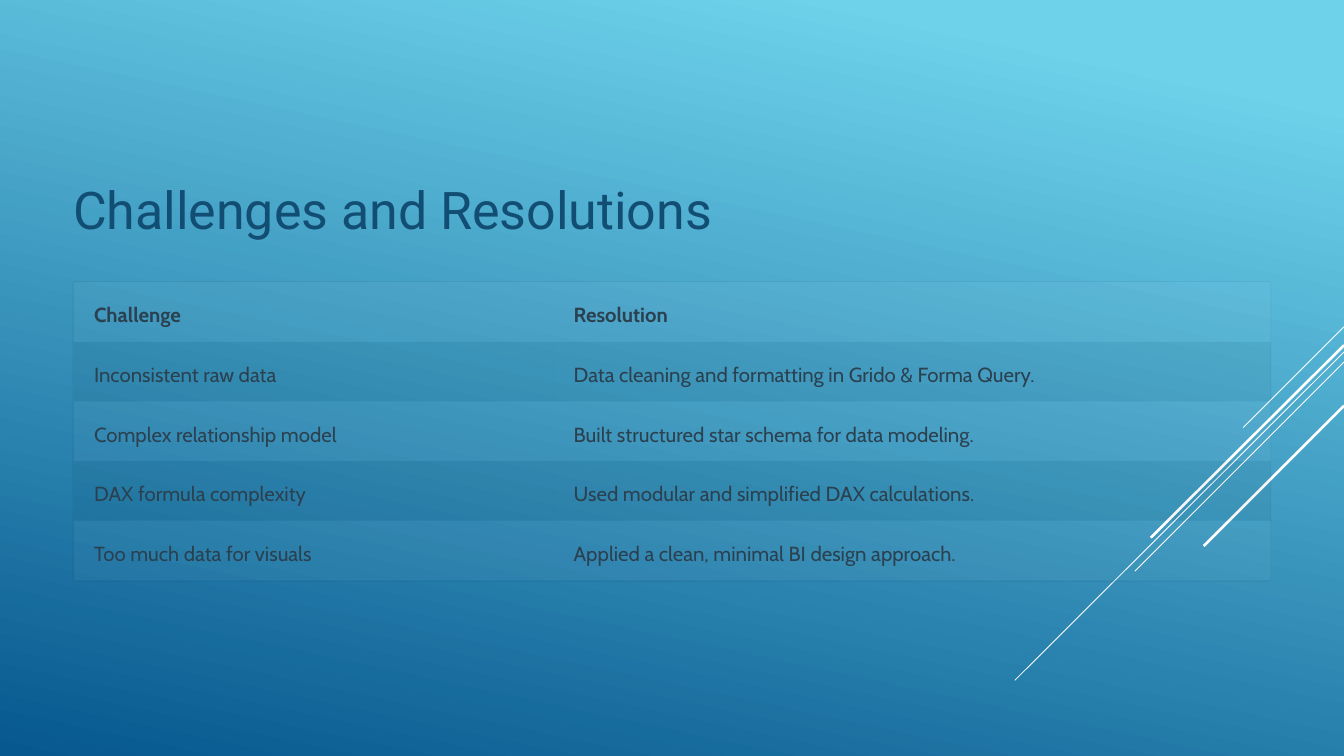
from lxml.etree import SubElement
from pptx import Presentation
from pptx.dml.color import RGBColor
from pptx.enum.shapes import MSO_CONNECTOR, MSO_SHAPE
from pptx.enum.text import MSO_ANCHOR, MSO_AUTO_SIZE, PP_ALIGN
from pptx.oxml.ns import qn
from pptx.util import Inches, Pt

NO_GRID_STYLE = "{2D5ABB26-0587-4C30-8999-92F81FD0307C}"

ROWS = [
    ("Challenge", "Resolution"),
    ("Inconsistent raw data", "Data cleaning and formatting in Grido & Forma Query."),
    ("Complex relationship model", "Built structured star schema for data modeling."),
    ("DAX formula complexity", "Used modular and simplified DAX calculations."),
    ("Too much data for visuals", "Applied a clean, minimal BI design approach."),
]

# Start height, end point and width of each diagonal; all start at the right edge
DIAGONALS = [
    (3.89, 14.8, 5.09, 0.75),
    (4.19, 12.08, 8.1, 0.75),
    (4.31, 13.51, 6.8, 0.75),
    (4.11, 13.7, 6.4, 2.25),
    (4.83, 14.33, 6.5, 2.25),
]


def color(value):
    return RGBColor.from_string(value)


def set_opacity(fill_element, percent):
    rgb = fill_element.find(f".//{qn('a:srgbClr')}")
    SubElement(rgb, qn("a:alpha")).set("val", str(percent * 1000))


class SlideBuilder:
    title_color = "124E73"
    text_color = "2B4150"
    title_font = "Roboto"
    text_font = "Cabin"

    def __init__(self, slide):
        self.slide = slide

    def background(self, stops, angle):
        fill = self.slide.background.fill
        fill.gradient()
        fill.gradient_angle = angle
        for stop, (position, value) in zip(fill.gradient_stops, stops):
            stop.position = position
            stop.color.rgb = color(value)

    def add_text(self, para, text, font, size, value, spacing, bold=False):
        para.alignment = PP_ALIGN.LEFT
        para.line_spacing = Pt(spacing)
        span = para.add_run()
        span.text = text
        span.font.name = font
        span.font.size = Pt(size)
        span.font.bold = bold
        span.font.color.rgb = color(value)

    def title(self, text, left, top, width, height):
        box = self.slide.shapes.title
        box.left, box.top = Inches(left), Inches(top)
        box.width, box.height = Inches(width), Inches(height)
        frame = box.text_frame
        frame.margin_left = frame.margin_right = 0
        frame.margin_top = frame.margin_bottom = 0
        frame.word_wrap = False
        frame.auto_size = MSO_AUTO_SIZE.NONE
        frame.vertical_anchor = MSO_ANCHOR.TOP
        self.add_text(frame.paragraphs[0], text, self.title_font, 44.5,
                      self.title_color, 55.5)

    def line(self, x1, y1, x2, y2, width, value="FFFFFF"):
        line = self.slide.shapes.add_connector(
            MSO_CONNECTOR.STRAIGHT, Inches(x1), Inches(y1), Inches(x2), Inches(y2))
        line.line.color.rgb = color(value)
        line.line.width = Pt(width)
        SubElement(line._element.spPr, qn("a:effectLst"))

    def frame(self, left, top, width, height):
        box = self.slide.shapes.add_shape(
            MSO_SHAPE.ROUNDED_RECTANGLE,
            Inches(left), Inches(top), Inches(width), Inches(height))
        box.adjustments[0] = 0.01
        box.shadow.inherit = False
        box.fill.background()
        box.line.color.rgb = color("000000")
        box.line.width = Pt(0.6)
        set_opacity(box._element.spPr, 8)

    def table(self, rows, left, top, column_widths, row_height):
        table = self.slide.shapes.add_table(
            len(rows), len(column_widths), Inches(left), Inches(top),
            Inches(sum(column_widths)), Inches(row_height * len(rows))).table
        table.first_row = table.horz_banding = False
        table._tbl.tblPr.find(qn("a:tableStyleId")).text = NO_GRID_STYLE
        for column, width in zip(table.columns, column_widths):
            column.width = Inches(width)
        for index, texts in enumerate(rows):
            table.rows[index].height = Inches(row_height)
            for cell, text in zip(table.rows[index].cells, texts):
                self.cell(cell, text, "000000" if index % 2 else "FFFFFF", index == 0)

    def cell(self, cell, text, fill, bold):
        cell.margin_left = cell.margin_right = Inches(0.24)
        cell.margin_top, cell.margin_bottom = Inches(0.15), 0
        cell.vertical_anchor = MSO_ANCHOR.TOP
        cell.fill.solid()
        cell.fill.fore_color.rgb = color(fill)
        set_opacity(cell._tc.tcPr, 4)
        self.add_text(cell.text_frame.paragraphs[0], text, self.text_font, 17.5,
                      self.text_color, 28.5, bold)


def main():
    deck = Presentation()
    deck.slide_width, deck.slide_height = Inches(16), Inches(9)
    page = SlideBuilder(deck.slides.add_slide(deck.slide_layouts[5]))

    # Background and diagonal lines
    page.background([(0.1, "6ED2EB"), (1, "06588E")], 258)
    for start_y, end_x, end_y, width in DIAGONALS:
        page.line(16, start_y, end_x, end_y, width)

    # Title
    page.title("Challenges and Resolutions", 0.87, 2.08, 8.29, 0.78)

    # Framed table
    page.frame(0.87, 3.35, 14.26, 3.57)
    page.table(ROWS, 0.88, 3.36, (5.71, 8.54), 0.71)

    deck.save("out.pptx")


if __name__ == "__main__":
    main()
